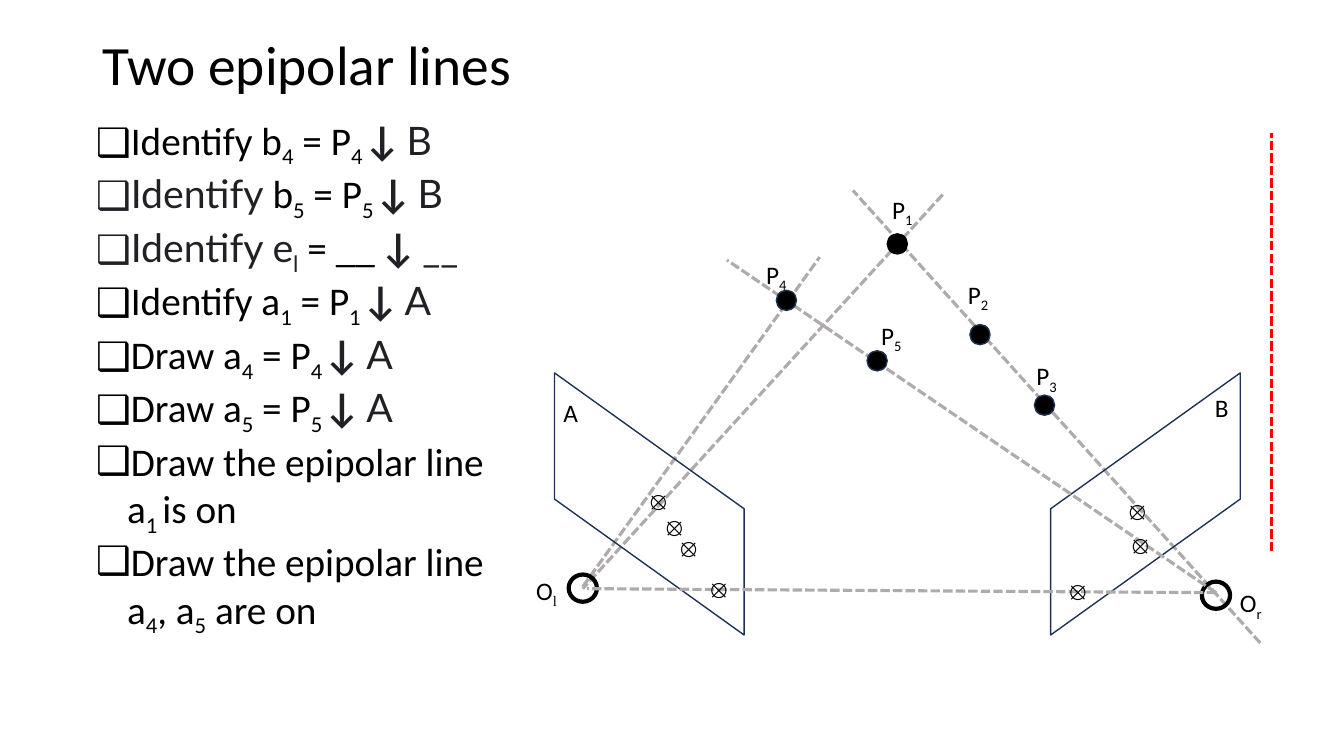
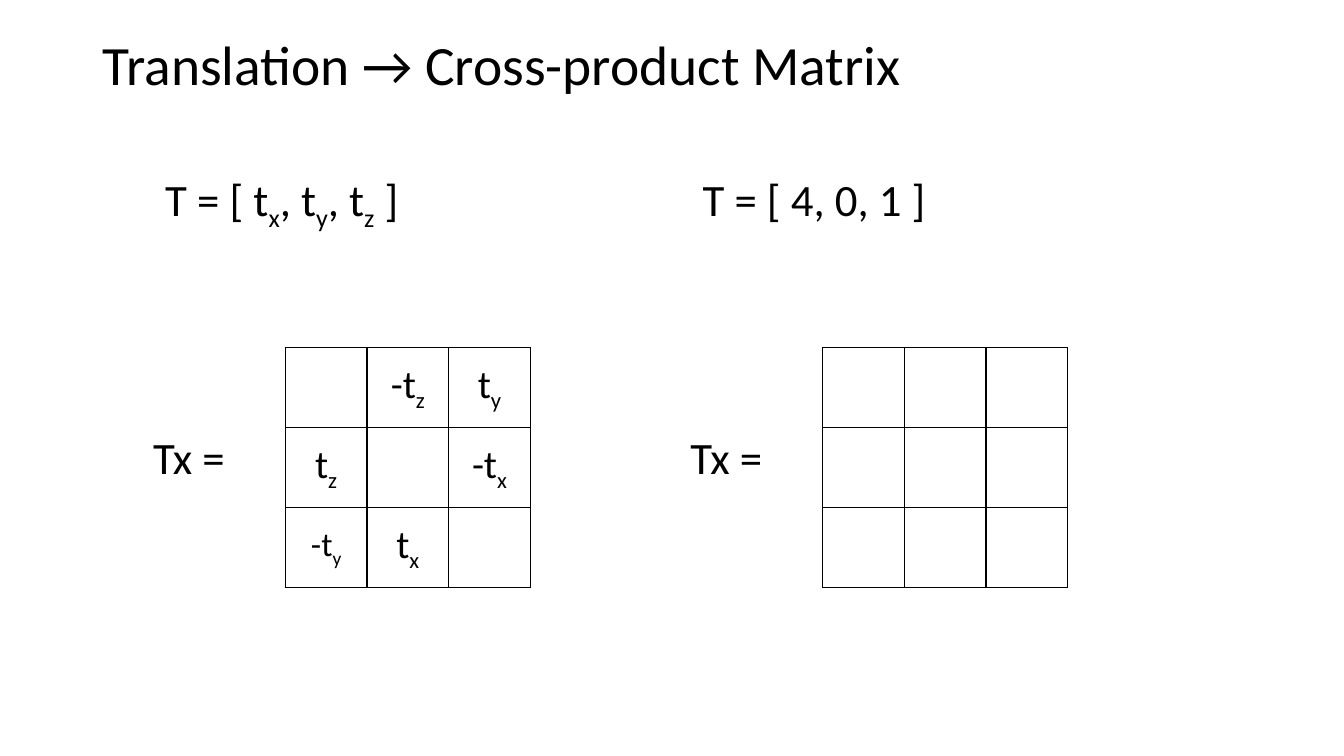
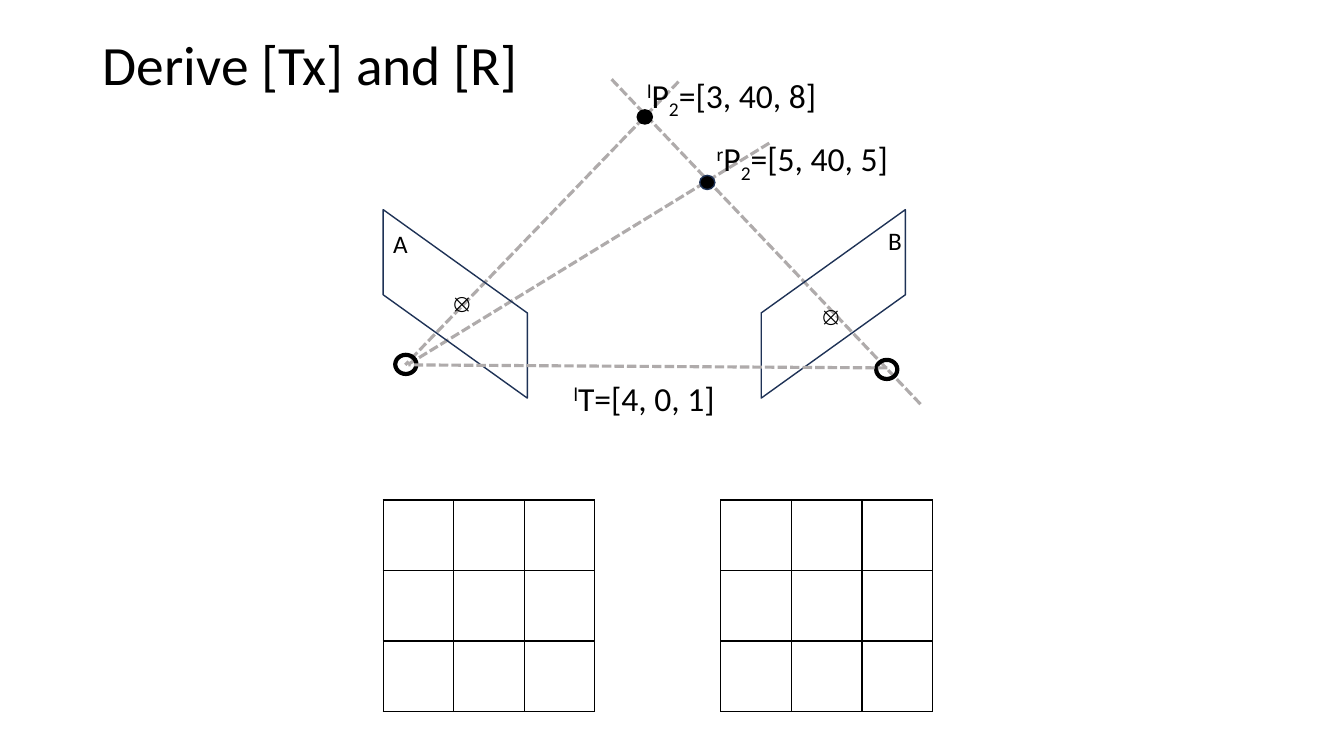
import pptx
import pptx.util
import pptx.dml.color
import pptx.enum.dml
import pptx.enum.shapes
import pptx.enum.text
import pptx.oxml.ns
import lxml.etree

COLOURS = {"ink": "000000", "soft": "202124", "navy": "1E3256",
           "ray": "AFABAB", "red": "FF0000"}
MARKS = {
    "_": (-25000, "Calibri", "ink", False),
    "^": (30000, "Calibri", "ink", False),
    "*": (0, "Lato", "soft", True),
    "~": (0, "Lato", "soft", False),
    "%": (-25000, "Lato", "soft", False),
    "`": (-25000, "Times New Roman", "ink", False),
    "#": (0, "Roboto", "ink", False),
}
SHAPE = pptx.enum.shapes.MSO_SHAPE
QN = pptx.oxml.ns.qn

deck = pptx.Presentation()
deck.slide_width = pptx.util.Inches(13.33)
deck.slide_height = pptx.util.Inches(7.5)
CELL = deck.slide_height / 75


def grid(*counts):
    return [round(count * CELL) for count in counts]


def write(para, marked, size):
    para.font.size = pptx.util.Pt(size)
    para.font.name = "Calibri"
    para.font.color.rgb = pptx.dml.color.RGBColor.from_string(COLOURS["ink"])
    for piece in filter(None, marked.split("|")):
        span = para.add_run()
        span.text = piece
        if piece[0] in MARKS:
            baseline, face, colour, bold = MARKS[piece[0]]
            span.text = piece[1:]
            if baseline:
                span.font._element.set("baseline", str(baseline))
            if face != "Calibri":
                span.font.name = face
                span.font.color.rgb = pptx.dml.color.RGBColor.from_string(COLOURS[colour])
            if bold:
                span.font.bold = True


tasks = [
    "Identify b|_4| = P|_4 |*↓ |~B",
    "~Identify |b|_5| = P|_5 |*↓ |~B",
    "~Identify e|%l| = __ |*↓ |~__",
    "Identify a|_1| = P|_1 |*↓ |~A",
    "Draw a|_4| = P|_4 |*↓ |~A",
    "Draw a|_5| = P|_5 |*↓ |~A",
    "Draw the epipolar line a|_1 |is on",
    "Draw the epipolar line a|_4|, a|_5| are on",
]
epipolar = [
    ("list", 8.5, 11, 42.9, 52.8, tasks),
    ("line", 57.8, 58.2, 81.3, 25.5, "ray"),
    ("line", 125, 63.8, 84.6, 18.9, "ray"),
    ("line", 93.5, 19.3, 57.8, 58.4, "ray"),
    ("plane", 51.4, 40.6, 26, 18.8, "left"),
    ("plane", 100.6, 40.6, 26, 18.8, "right"),
    ("dot", 88, 23.2, 2, 2, "ink"),
    ("ring", 56.4, 57, 2.8, 2.7, "ink"),
    ("ring", 119.2, 57.7, 2.8, 2.7, "ink"),
    ("line", 120.6, 58.8, 58.2, 58.4, "ray"),
    ("line", 120.6, 58.8, 72.1, 25.8, "ray"),
    ("line", 126.1, 54.7, 126.1, 13.2, "red"),
    ("text", 54.9, 38.9, 3.5, 4, "A", 18),
    ("text", 119.5, 38.4, 3.7, 4, "B", 18),
    ("text", 52.2, 56.6, 4.2, 4, "O|`l", 18),
    ("text", 122, 57.8, 5.4, 4, "O|_r", 18),
]
epipolar += [("dot", x, y, 2, 2, "navy")
             for x, y in [(96.2, 32.2), (102.6, 39.2), (77, 28.8), (86, 34.8)]]
epipolar += [("text", x, y, 4.4, 4, "#⦻", 18)
             for x, y in [(63.5, 47.6), (65.1, 50.1), (66.5, 52.2), (69.5, 56.3),
                          (105.1, 56.5), (111, 48.5), (111.3, 51.9)]]
epipolar += [("text", x, y, 4.9, 4, f"P|_{number}", 18)
             for number, (x, y) in enumerate([(87.5, 18.8), (95, 27.2), (101.8, 35.3),
                                              (75, 25.2), (86.4, 31.3)], 1)]

blank = [[""] * 3] * 3
symbols = [["", "-t|_z", "t|_y"], ["t|_z", "", "-t|_x"], ["-t|_y", "t|_x", ""]]
products = []
for left, vector, matrix in [(14.2, "T = [ t|_x|, t|_y|, t|_z| ]", symbols),
                             (67.5, "T = [ 4, 0, 1 ]", blank)]:
    products += [
        ("table", left + 14.1, 34.5, 24.3, 23.8, matrix),
        ("text", left, 42.1, 11.4, 6.4, "Tx =", 32),
        ("text", left + 1.2, 16.5, 44.6, 6.4, vector, 32),
    ]

derive = [
    ("line", 91.3, 40.1, 60.6, 7.8, "ray"),
    ("line", 67.3, 8.1, 40.2, 36.2, "ray"),
    ("line", 76.3, 14.2, 40.4, 36.2, "ray"),
    ("plane", 35.8, 23, 18.7, 14.3, "left"),
    ("plane", 73.3, 23, 18.7, 14.3, "right"),
    ("dot", 63.2, 10.9, 1.5, 1.4, "ink"),
    ("ring", 39.2, 35.2, 2.1, 1.9, "ink"),
    ("ring", 86.9, 35.7, 2.1, 1.9, "ink"),
    ("dot", 69.4, 17.4, 1.5, 1.4, "navy"),
    ("line", 88, 36.5, 40.5, 36.2, "ray"),
    ("text", 44, 27.9, 3.4, 2.9, "#⦻", 18),
    ("text", 80.6, 29.2, 3.4, 2.9, "#⦻", 18),
    ("text", 38, 22.2, 2.6, 2.9, "A", 18),
    ("text", 87.1, 21.9, 2.8, 2.9, "B", 18),
    ("text", 70.1, 13.2, 21.5, 5, "^r|P|_2|=[5, 40, 5]", 24),
    ("text", 63.2, 6.9, 21.5, 5, "^l|P|_2|=[3, 40, 8]", 24),
    ("text", 55.9, 37, 21.5, 5, "^l|T=[4, 0, 1]", 24),
    ("table", 38, 49.6, 21, 21, blank),
    ("table", 71.5, 49.6, 21, 21, blank),
]

for title, layout, items in [
    ("Two epipolar lines", 1, epipolar),
    ("Translation → Cross-product Matrix", 5, products),
    ("Derive [Tx] and [R]", 5, derive),
]:
    page = deck.slides.add_slide(deck.slide_layouts[layout])
    heading = page.shapes.title
    heading.left, heading.top, heading.width, heading.height = grid(9.2, 4, 115, 5.5)
    heading.text_frame.auto_size = pptx.enum.text.MSO_AUTO_SIZE.NONE
    heading.text_frame.vertical_anchor = pptx.enum.text.MSO_ANCHOR.MIDDLE
    para = heading.text_frame.paragraphs[0]
    para.alignment = pptx.enum.text.PP_ALIGN.LEFT
    para.line_spacing = 0.9
    write(para, title, 39.6)

    for kind, x, y, across, down, detail, *size in items:
        frame = grid(x, y, across, down)

        if kind == "line":
            line = page.shapes.add_connector(pptx.enum.shapes.MSO_CONNECTOR.STRAIGHT, *frame)
            line.line.color.rgb = pptx.dml.color.RGBColor.from_string(COLOURS[detail])
            line.line.width = pptx.util.Pt(2.25)
            line.line.dash_style = pptx.enum.dml.MSO_LINE.SQUARE_DOT
            lxml.etree.SubElement(line._element.spPr, QN("a:effectLst"))

        elif kind in ("plane", "ring", "dot"):
            outline = SHAPE.PARALLELOGRAM if kind == "plane" else SHAPE.OVAL
            shape = page.shapes.add_shape(outline, *frame)
            shape.shadow.inherit = False
            shape.fill.background()
            if kind == "dot":
                shape.fill.solid()
                shape.fill.fore_color.rgb = pptx.dml.color.RGBColor.from_string(COLOURS["ink"])
            if kind == "plane":
                shape.adjustments[0] = 0.717
                shape.rotation = 90 if detail == "left" else 270
                if detail == "right":
                    shape._element.spPr.xfrm.set("flipH", "1")
            edge = "navy" if kind == "plane" else detail
            shape.line.color.rgb = pptx.dml.color.RGBColor.from_string(COLOURS[edge])
            shape.line.width = pptx.util.Pt(3 if kind == "ring" else 1)

        elif kind == "text":
            box = page.shapes.add_textbox(*frame)
            box.text_frame.word_wrap = True
            write(box.text_frame.paragraphs[0], detail, size[0])

        elif kind == "list":
            body = page.placeholders[1]
            body.left, body.top, body.width, body.height = frame
            body.text_frame.auto_size = pptx.enum.text.MSO_AUTO_SIZE.NONE
            for index, task in enumerate(detail):
                para = body.text_frame.add_paragraph() if index else body.text_frame.paragraphs[0]
                props = para._p.get_or_add_pPr()
                indent = grid(3.1)[0]
                props.set("marL", str(indent))
                props.set("indent", str(-indent))
                lxml.etree.SubElement(props, QN("a:buChar")).set("char", "❑")
                para.line_spacing = 1.0
                para.space_before = pptx.util.Pt(0)
                write(para, task, 28)

        elif kind == "table":
            table = page.shapes.add_table(3, 3, *frame).table
            table.first_row = table.horz_banding = False
            for row, texts in enumerate(detail):
                for column, text in enumerate(texts):
                    cell = table.cell(row, column)
                    cell.vertical_anchor = pptx.enum.text.MSO_ANCHOR.MIDDLE
                    props = cell._tc.get_or_add_tcPr()
                    for side in ("lnL", "lnR", "lnT", "lnB"):
                        border = lxml.etree.SubElement(props, QN(f"a:{side}"), w="12700")
                        paint = lxml.etree.SubElement(border, QN("a:solidFill"))
                        lxml.etree.SubElement(paint, QN("a:srgbClr"), val=COLOURS["ink"])
                    cell.fill.background()
                    if text:
                        para = cell.text_frame.paragraphs[0]
                        para.alignment = pptx.enum.text.PP_ALIGN.CENTER
                        write(para, text, 24 if text == "-t|_y" else 28)

deck.save("out.pptx")
